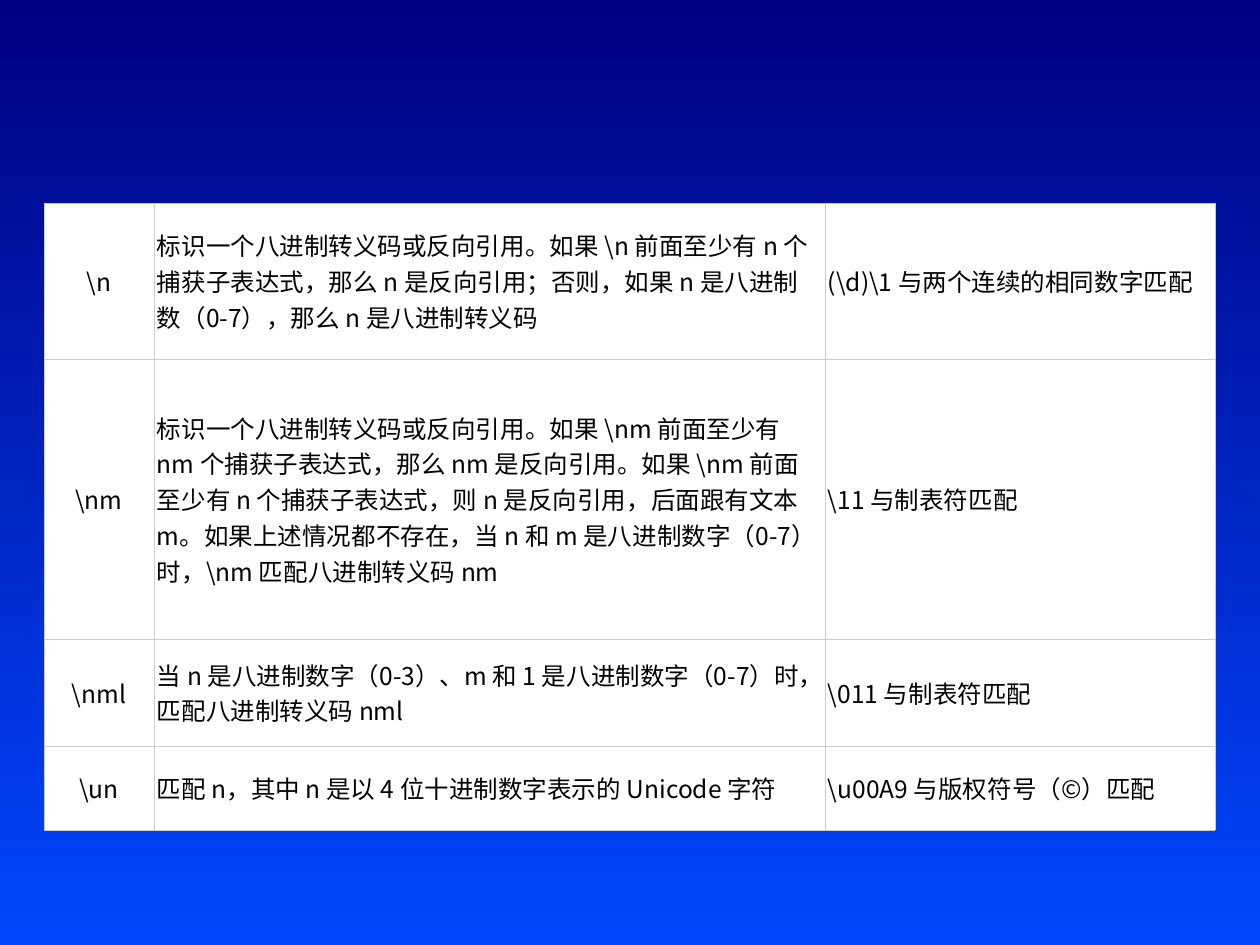
from lxml.etree import SubElement
from pptx import Presentation
from pptx.dml.color import RGBColor
from pptx.enum.text import MSO_ANCHOR, PP_ALIGN
from pptx.oxml.ns import qn
from pptx.util import Inches, Pt

SCALE = Inches(1) / 126
FONT = "Noto Sans CJK SC"
NAVY = RGBColor(0x00, 0x00, 0x82)
BLUE = RGBColor(0x00, 0x47, 0xFF)
WHITE = RGBColor(0xFF, 0xFF, 0xFF)
BLACK = RGBColor(0x00, 0x00, 0x00)
GREY = RGBColor(0xCC, 0xCC, 0xCC)

COLUMN_WIDTHS = [110, 671, 390]
ROW_HEIGHTS = [156, 280, 107, 84]
ESCAPES = [
    (r"\n",
     r"标识一个八进制转义码或反向引用。如果 \n 前面至少有 n 个捕获子表达式，"
     r"那么 n 是反向引用；否则，如果 n 是八进制数（0-7），那么 n 是八进制转义码",
     r"(\d)\1 与两个连续的相同数字匹配"),
    (r"\nm",
     r"标识一个八进制转义码或反向引用。如果 \nm 前面至少有 nm 个捕获子表达式，"
     r"那么 nm 是反向引用。如果 \nm 前面至少有 n 个捕获子表达式，则 n 是反向引用，"
     r"后面跟有文本 m。如果上述情况都不存在，当 n 和 m 是八进制数字（0-7）时，"
     r"\nm 匹配八进制转义码 nm",
     r"\11 与制表符匹配"),
    (r"\nml",
     r"当 n 是八进制数字（0-3）、m 和 1 是八进制数字（0-7）时，匹配八进制转义码 nml",
     r"\011 与制表符匹配"),
    (r"\un",
     r"匹配 n，其中 n 是以 4 位十进制数字表示的 Unicode 字符",
     r"\u00A9 与版权符号（©️）匹配"),
]


def px(length):
    return round(length * SCALE)


def add_borders(cell):
    properties = cell._tc.get_or_add_tcPr()
    for side in ("lnL", "lnR", "lnT", "lnB"):
        line = SubElement(properties, qn(f"a:{side}"), w=str(Pt(0.28)))
        line_fill = SubElement(line, qn("a:solidFill"))
        SubElement(line_fill, qn("a:srgbClr"), val=str(GREY))


presentation = Presentation()
presentation.slide_width = px(1260)
presentation.slide_height = px(945)
slide = presentation.slides.add_slide(presentation.slide_layouts[6])

background = slide.background.fill
background.gradient()
background.gradient_angle = 270
for stop, color in zip(background.gradient_stops, (NAVY, BLUE)):
    stop.color.rgb = color

escape_table = slide.shapes.add_table(
    len(ESCAPES), len(COLUMN_WIDTHS), px(44), px(203),
    px(sum(COLUMN_WIDTHS)), px(sum(ROW_HEIGHTS))).table
escape_table.first_row = False
escape_table.horz_banding = False
for column, width in zip(escape_table.columns, COLUMN_WIDTHS):
    column.width = px(width)
for row, height in zip(escape_table.rows, ROW_HEIGHTS):
    row.height = px(height)

CELL_FORMAT = {
    "margin_left": px(3), "margin_right": px(3),
    "margin_top": px(6), "margin_bottom": px(6),
    "vertical_anchor": MSO_ANCHOR.MIDDLE,
}
FONT_FORMAT = {"name": FONT, "size": Pt(14), "bold": False}

for row, texts in zip(escape_table.rows, ESCAPES):
    for index, (cell, text) in enumerate(zip(row.cells, texts)):
        for name, value in CELL_FORMAT.items():
            setattr(cell, name, value)
        add_borders(cell)
        cell.fill.solid()
        cell.fill.fore_color.rgb = WHITE
        paragraph = cell.text_frame.paragraphs[0]
        paragraph.alignment = PP_ALIGN.CENTER if index == 0 else PP_ALIGN.LEFT
        run = paragraph.add_run()
        run.text = text
        for name, value in FONT_FORMAT.items():
            setattr(run.font, name, value)
        run.font.color.rgb = BLACK
        SubElement(run._r.get_or_add_rPr(), qn("a:ea"), typeface=FONT)

presentation.save("out.pptx")
